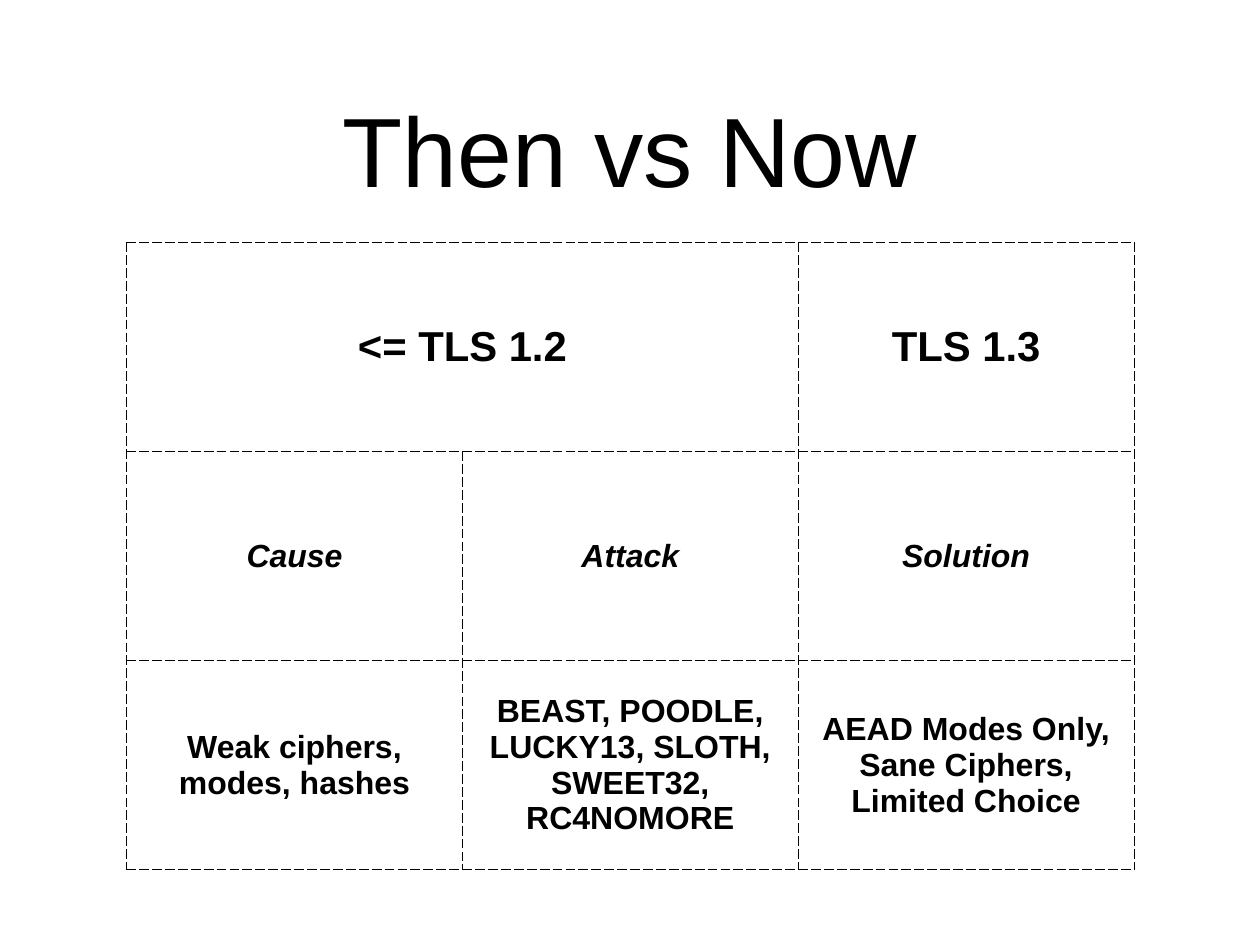
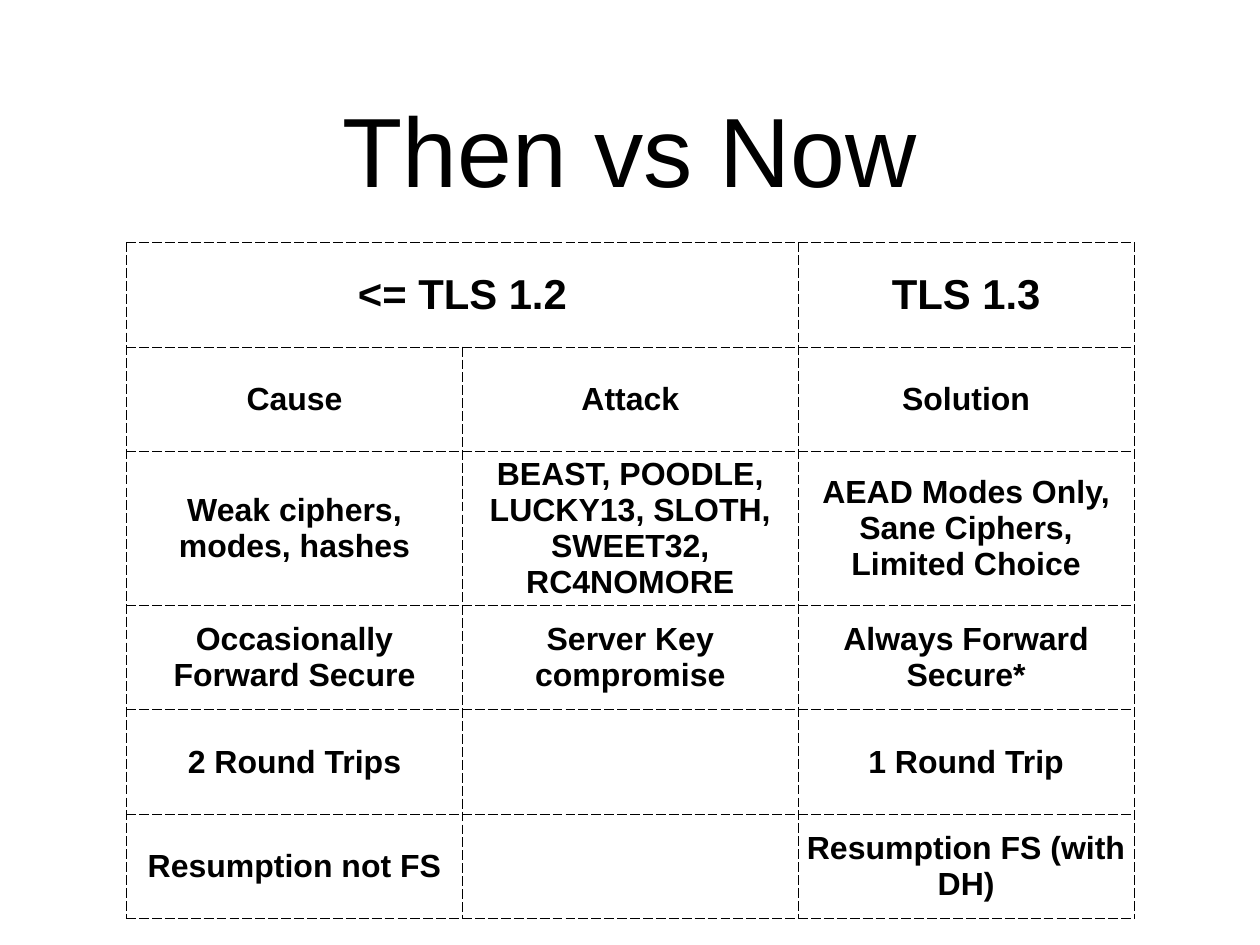
from dataclasses import dataclass

from lxml.etree import SubElement
from pptx import Presentation
from pptx.dml.color import RGBColor
from pptx.enum.text import MSO_ANCHOR, MSO_AUTO_SIZE, PP_ALIGN
from pptx.oxml.ns import qn
from pptx.util import Inches, Pt


@dataclass(frozen=True)
class Theme:
    face: str = "Arial"
    ink: str = "000000"
    title: int = 80
    head: int = 34
    cell: int = 26
    line: int = 1
    dash: str = "dash"
    inset: float = 0.06


THEME = Theme()
INSETS = {f"margin_{side}": Inches(THEME.inset)
          for side in ("left", "top", "right", "bottom")}
TITLE_BOX = (1.04, 0.49, 12.14, 2.36)
TABLE_BOX = (1.43, 2.74, 11.37, 7.08)
TITLE = "Then vs Now"
BASE = [
    ["<= TLS 1.2", "", "TLS 1.3"],
    ["Cause", "Attack", "Solution"],
    ["Weak ciphers, modes, hashes",
     "BEAST, POODLE, LUCKY13, SLOTH, SWEET32, RC4NOMORE",
     "AEAD Modes Only, Sane Ciphers, Limited Choice"],
]
MORE = [
    ["Occasionally Forward Secure", "Server Key compromise",
     "Always Forward Secure*"],
    ["2 Round Trips", "", "1 Round Trip"],
    ["Resumption not FS", "", "Resumption FS (with DH)"],
]


def apply(item, form):
    for name, value in form.items():
        setattr(item, name, value)


def write(frame, text, size, **style):
    frame.text = text
    para = frame.paragraphs[0]
    para.alignment = PP_ALIGN.CENTER
    for run in para.runs:
        apply(run.font, {"name": THEME.face, "size": Pt(size), **style})
        run.font.color.rgb = RGBColor.from_string(THEME.ink)


def border(cell):
    props = cell._tc.get_or_add_tcPr()
    for tag in ("a:lnL", "a:lnR", "a:lnT", "a:lnB"):
        line = SubElement(props, qn(tag), w=str(Pt(THEME.line)))
        fill = SubElement(line, qn("a:solidFill"))
        SubElement(fill, qn("a:srgbClr"), val=THEME.ink)
        SubElement(line, qn("a:prstDash"), val=THEME.dash)


def add_title(slide, box):
    title = slide.shapes.title
    places = map(Inches, box)
    apply(title, dict(zip(("left", "top", "width", "height"), places)))
    frame = title.text_frame
    apply(frame, {**INSETS, "word_wrap": True,
                  "auto_size": MSO_AUTO_SIZE.NONE,
                  "vertical_anchor": MSO_ANCHOR.MIDDLE})
    write(frame, TITLE, THEME.title)


def add_grid(slide, box, rows, slant):
    shape = slide.shapes.add_table(len(rows), len(rows[0]), *map(Inches, box))
    table = shape.table
    apply(table, {"first_row": False, "horz_banding": False})
    for r, row in enumerate(rows):
        size = THEME.cell if r else THEME.head
        for c, text in enumerate(row):
            cell = table.cell(r, c)
            apply(cell, {**INSETS, "vertical_anchor": MSO_ANCHOR.MIDDLE})
            border(cell)
            cell.fill.background()
            write(cell.text_frame, text, size, bold=True,
                  italic=slant and r == 1)
    table.cell(0, 0).merge(table.cell(0, 1))


def add_slide(deck, rows, slant):
    slide = deck.slides.add_slide(deck.slide_layouts.get_by_name("Title Only"))
    add_title(slide, TITLE_BOX)
    add_grid(slide, TABLE_BOX, rows, slant)


def main():
    deck = Presentation()
    apply(deck, {"slide_width": Inches(14.22), "slide_height": Inches(10.67)})
    add_slide(deck, BASE, True)
    add_slide(deck, BASE + MORE, False)
    deck.save("out.pptx")


if __name__ == "__main__":
    main()
